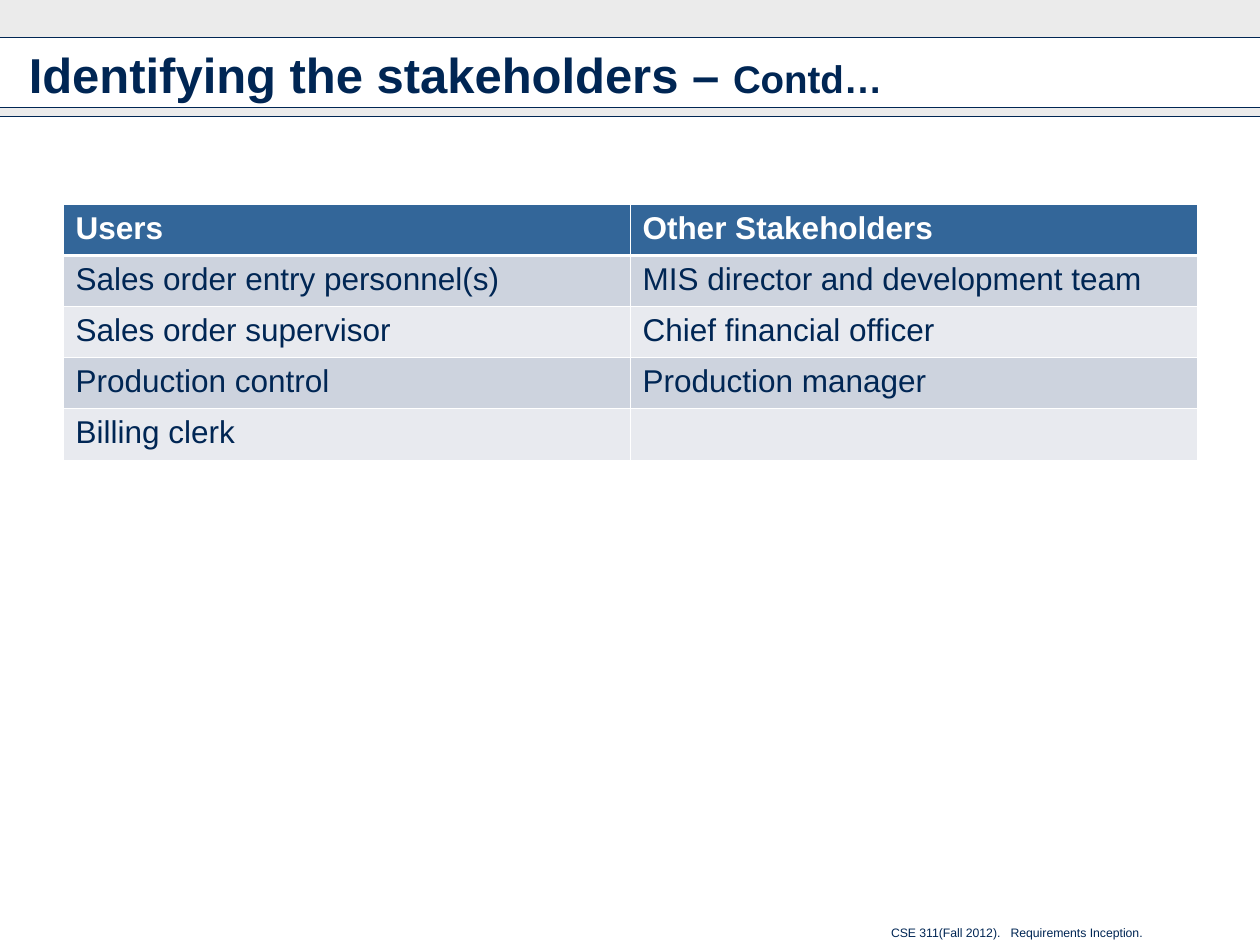
from pptx import Presentation
from pptx.dml.color import RGBColor
from pptx.enum.shapes import MSO_CONNECTOR, MSO_SHAPE
from pptx.enum.text import MSO_ANCHOR, PP_ALIGN
from pptx.oxml.ns import qn
from pptx.util import Pt
from lxml import etree

RECT = MSO_SHAPE.RECTANGLE
LINE = MSO_CONNECTOR.STRAIGHT
LEFT, RIGHT = PP_ALIGN.LEFT, PP_ALIGN.RIGHT
TOP, MIDDLE = MSO_ANCHOR.TOP, MSO_ANCHOR.MIDDLE

WIDTH, HEIGHT = 720, 540
FONT = "Arial"
COLORS = {
    "navy": "002654",
    "white": "FFFFFF",
    "gray": "CDCDCD",
    "head": "336699",
    "dark": "CDD3DE",
    "light": "E8EAEF",
}
ROWS = [
    ("Users", "Other Stakeholders"),
    ("Sales order entry personnel(s)", "MIS director and development team"),
    ("Sales order supervisor", "Chief financial officer"),
    ("Production control", "Production manager"),
    ("Billing clerk", ""),
]


class Painter:
    def __init__(self, slide):
        self.slide = slide

    def color(self, name):
        return RGBColor.from_string(COLORS[name])

    def style(self, font, size, color="navy", bold=False):
        font.name, font.size, font.bold = FONT, Pt(size), bold
        font.color.rgb = self.color(color)

    def text(self, x, y, w, h, parts, align=LEFT, anchor=TOP, bold=False):
        """Add one paragraph; parts holds (words, size) pairs."""
        box = self.slide.shapes.add_textbox(Pt(x), Pt(y), Pt(w), Pt(h))
        frame = box.text_frame
        frame.word_wrap = True
        frame.vertical_anchor = anchor
        para = frame.paragraphs[0]
        para.alignment = align
        for words, size in parts:
            run = para.add_run()
            run.text = words
            self.style(run.font, size, bold=bold)

    def band(self, y, h, alpha=40):
        """Add a see-through bar across the slide."""
        bar = self.slide.shapes.add_shape(RECT, 0, Pt(y), Pt(WIDTH), Pt(h))
        bar.shadow.inherit = False
        bar.line.fill.background()
        bar.fill.solid()
        bar.fill.fore_color.rgb = self.color("gray")
        tone = next(bar.element.spPr.iter(qn("a:srgbClr")))
        etree.SubElement(tone, qn("a:alpha"), val=str(alpha * 1000))

    def rule(self, y):
        """Add a thin line across the slide."""
        line = self.slide.shapes.add_connector(LINE, 0, Pt(y), Pt(WIDTH), Pt(y))
        line.line.color.rgb = self.color("navy")
        line.line.width = Pt(0.75)
        etree.SubElement(line.element.spPr, qn("a:effectLst"))

    def edge(self, cell, side, width):
        """Add one white cell border."""
        props = cell._tc.get_or_add_tcPr()
        line = etree.SubElement(props, qn("a:" + side), w=str(Pt(width)))
        fill = etree.SubElement(line, qn("a:solidFill"))
        etree.SubElement(fill, qn("a:srgbClr"), val=COLORS["white"])

    def table(self, x, y, w, h, rows):
        frame = self.slide.shapes.add_table(
            len(rows), len(rows[0]), Pt(x), Pt(y), Pt(w), Pt(h))
        grid = frame.table
        for r, row in enumerate(rows):
            grid.rows[r].height = Pt(h / len(rows))
            for c, words in enumerate(row):
                cell = grid.cell(r, c)
                # Borders come before the fill in the cell properties
                for side in ("lnL", "lnR", "lnT", "lnB"):
                    thick = (r, side) in ((0, "lnB"), (1, "lnT"))
                    self.edge(cell, side, 1.47 if thick else 0.45)
                cell.fill.solid()
                name = "head" if r == 0 else "dark" if r % 2 else "light"
                cell.fill.fore_color.rgb = self.color(name)
                cell.text_frame.text = words
                ink = "white" if r == 0 else "navy"
                self.style(cell.text_frame.paragraphs[0].font, 18, ink, r == 0)
                for run in cell.text_frame.paragraphs[0].runs:
                    self.style(run.font, 18, ink, r == 0)


def main():
    deck = Presentation()
    deck.slide_width, deck.slide_height = Pt(WIDTH), Pt(HEIGHT)
    paint = Painter(deck.slides.add_slide(deck.slide_layouts[6]))

    # Footer
    paint.text(219, 525, 441, 15,
               [("CSE 311(Fall 2012).   Requirements Inception.", 7)], RIGHT)

    # Header bands and rules
    for y, h in ((0, 21.6), (61.4, 5.3)):
        paint.band(y, h)
    for y in (61.4, 21.6, 66.7):
        paint.rule(y)

    # Stakeholder table
    paint.table(36, 116.8, 648, 146, ROWS)

    # Title
    paint.text(9.4, 18.7, 701, 47.5,
               [("Identifying the stakeholders – ", 28), ("Contd…", 22)],
               anchor=MIDDLE, bold=True)

    deck.save("out.pptx")


if __name__ == "__main__":
    main()
